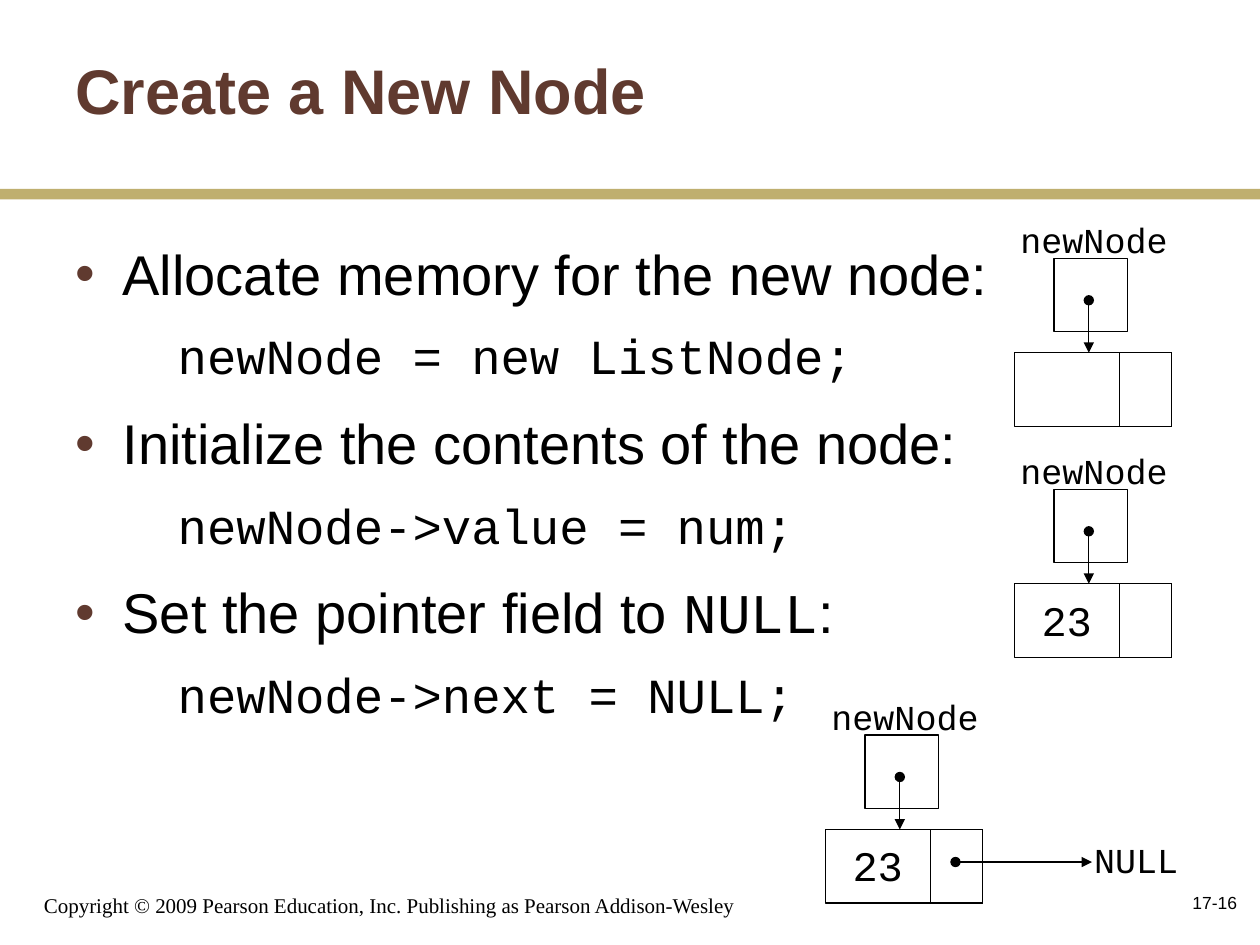
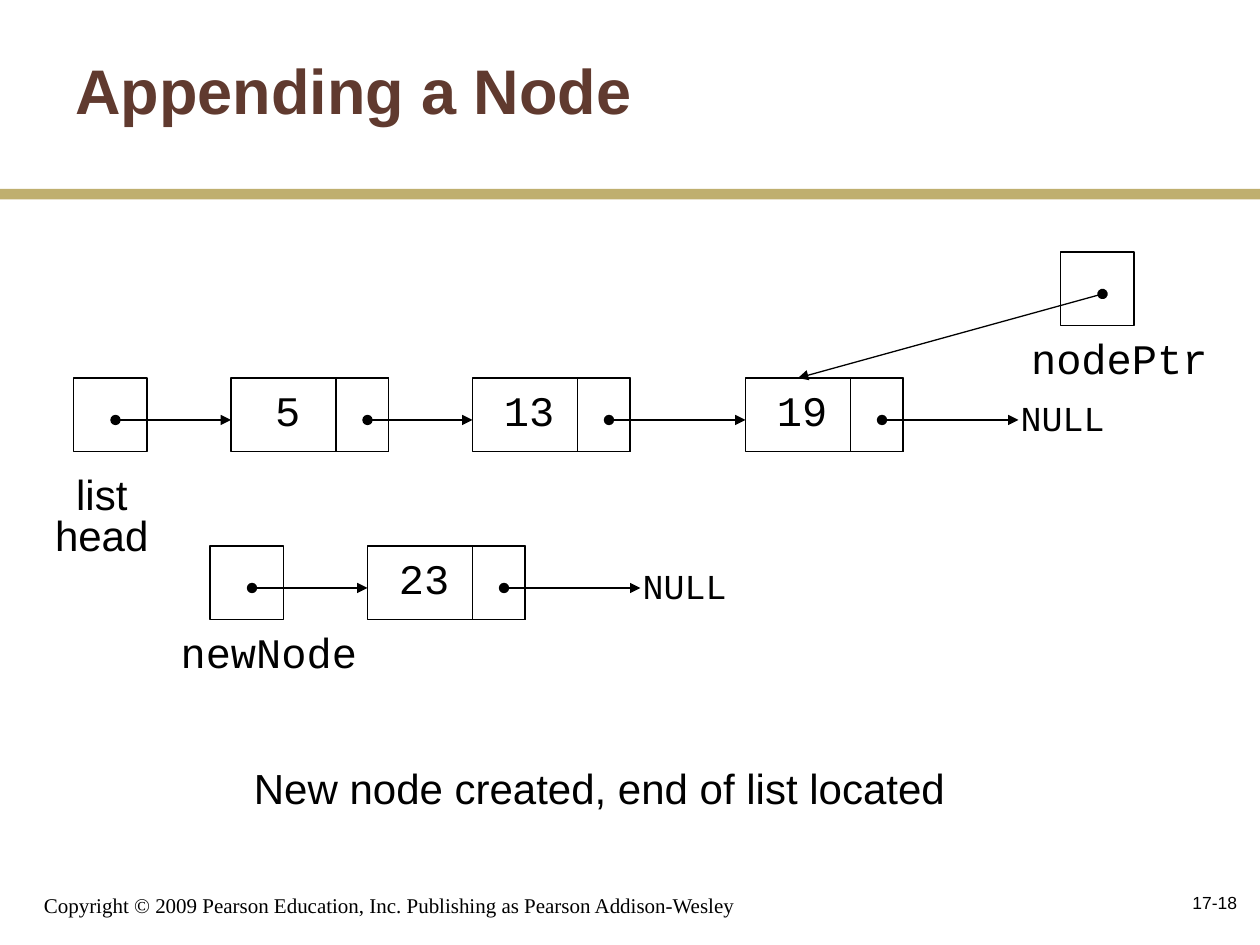
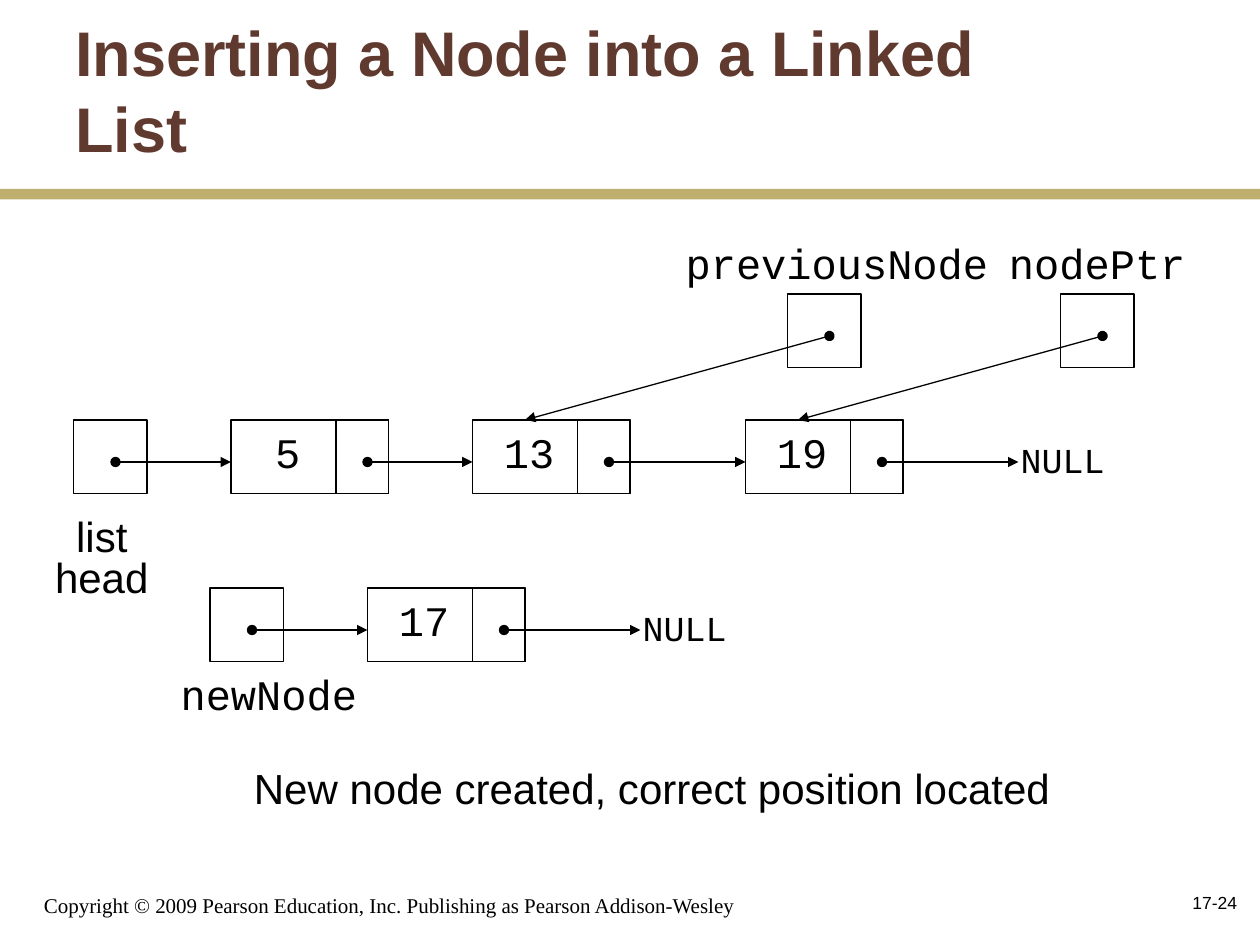
from dataclasses import dataclass

from lxml import etree
from pptx import Presentation
from pptx.dml.color import RGBColor
from pptx.enum.shapes import MSO_CONNECTOR, MSO_SHAPE
from pptx.enum.text import MSO_ANCHOR, MSO_AUTO_SIZE, PP_ALIGN
from pptx.oxml.ns import qn
from pptx.slide import Slide
from pptx.util import Cm, Pt

RECT, BAND, LINE = MSO_SHAPE.RECTANGLE, MSO_SHAPE.PENTAGON, MSO_CONNECTOR.STRAIGHT
LEFT, MID, RIGHT = PP_ALIGN.LEFT, PP_ALIGN.CENTER, PP_ALIGN.RIGHT
TOP, HALF, BASE = MSO_ANCHOR.TOP, MSO_ANCHOR.MIDDLE, MSO_ANCHOR.BOTTOM
GROW, FIXED = MSO_AUTO_SIZE.SHAPE_TO_FIT_TEXT, MSO_AUTO_SIZE.NONE

STEP = 2.54 / 12
BLACK, BROWN, GOLD = "000000", "603A2F", "BFAF6F"
SANS, MONO, SERIF = "Arial", "Courier New", "Times New Roman"
SIDE, SPAN, DATA = 7, 15, 10
PORT = 4


@dataclass
class Text:
    words: str
    x: float
    y: float
    wide: float
    high: float
    size: float = 24
    font: str = SANS
    ink: str = BLACK
    bold: bool = False
    align: PP_ALIGN = LEFT
    anchor: MSO_ANCHOR = TOP
    wrap: bool = True
    space: float = 1


@dataclass
class Node:
    x: float
    value: str


@dataclass
class Hint:
    name: str
    x: float
    goal: float
    mid: float
    top: float


@dataclass
class Stage:
    title: str
    page: str
    row: float
    value: str
    hints: list[Hint]
    note: str


@dataclass
class Scene:
    x: float
    y: float
    value: str = ""
    ends: bool = False


CHAIN = [Node(22, "5"), Node(45, "13"), Node(71, "19")]

SCENES = [
    Scene(96.6, 33.6),
    Scene(96.6, 55.6, "23"),
    Scene(78.6, 79, "23", True),
]

POINTS = [
    ([("Allocate memory for the new node:", SANS)], "newNode = new ListNode;"),
    ([("Initialize the contents of the node:", SANS)], "newNode->value = num;"),
    ([("Set the pointer field to ", SANS), ("NULL", MONO), (":", SANS)],
     "newNode->next = NULL;"),
]

STAGES = [
    Stage("Appending a Node", "17-18", 36, "23",
          [Hint("nodePtr", 101, 76, 106.6, 32)],
          "New node created, end of list located"),
    Stage("Inserting a Node into a Linked List", "17-24", 40, "17",
          [Hint("nodePtr", 101, 76, 104.5, 23),
           Hint("previousNode", 75, 50, 79.7, 23)],
          "New node created, correct position located"),
]


def grid(count: float) -> Cm:
    return Cm(count * STEP)


def paint(code: str) -> RGBColor:
    return RGBColor.from_string(code)


def assign(target, values: dict) -> None:
    for key, value in values.items():
        setattr(target, key, value)


def add_run(para, words: str, size: float, font: str,
            ink: str = BLACK, bold: bool = False) -> None:
    run = para.add_run()
    run.text = words
    assign(run.font, {"size": Pt(size), "name": font, "bold": bold})
    run.font.color.rgb = paint(ink)


def draw_text(slide: Slide, item: Text) -> None:
    box = slide.shapes.add_textbox(
        *map(grid, (item.x, item.y, item.wide, item.high)))
    frame = box.text_frame
    assign(frame, {"word_wrap": item.wrap, "vertical_anchor": item.anchor,
                   "auto_size": FIXED if item.wrap else GROW})
    for index, words in enumerate(item.words.split("\n")):
        para = frame.add_paragraph() if index else frame.paragraphs[0]
        assign(para, {"alignment": item.align, "line_spacing": item.space})
        add_run(para, words, item.size, item.font, item.ink, item.bold)


def draw_code(slide: Slide, words: str, mid: float, top: float,
              size: float = 24, space: float = 1) -> None:
    wide = len(words) * size * 0.1 + 2.4
    high = size * space * 0.2 + 1.2
    draw_text(slide, Text(words, mid - wide / 2, top, wide, high, size, MONO,
                          align=MID, wrap=False, space=space))


def draw_box(slide: Slide, x: float, y: float, wide: float = SIDE) -> None:
    box = slide.shapes.add_shape(RECT, *map(grid, (x, y, wide, SIDE)))
    box.shadow.inherit = False
    box.fill.background()
    box.line.color.rgb = paint(BLACK)
    box.line.width = Pt(0.75)


def draw_node(slide: Slide, x: float, y: float) -> None:
    draw_box(slide, x, y, SPAN)
    draw_box(slide, x + DATA, y, SPAN - DATA)


def draw_arrow(slide: Slide, x: float, y: float, to_x: float, to_y: float) -> None:
    arrow = slide.shapes.add_connector(LINE, *map(grid, (x, y, to_x, to_y)))
    arrow.line.color.rgb = paint(BLACK)
    arrow.line.width = Pt(0.75)
    edge = arrow.line._get_or_add_ln()
    for tag, kind in (("a:headEnd", "oval"), ("a:tailEnd", "triangle")):
        etree.SubElement(edge, qn(tag), type=kind)
    etree.SubElement(arrow._element.spPr, qn("a:effectLst"))


def draw_null(slide: Slide, x: float, y: float) -> None:
    end = x + 13
    draw_arrow(slide, x, y, end, y)
    draw_code(slide, "NULL", end + 4.2, y - 3.6, 20, 1.2)


def indent(props, left: float, first: float) -> None:
    props.set("marL", str(int(grid(left))))
    props.set("indent", str(int(grid(first))))


def draw_points(slide: Slide) -> None:
    box = slide.shapes.add_textbox(*map(grid, (6, 22.9, 102, 51.4)))
    frame = box.text_frame
    frame.word_wrap = True
    for index, (parts, code) in enumerate(POINTS):
        para = frame.add_paragraph() if index else frame.paragraphs[0]
        props = para._p.get_or_add_pPr()
        indent(props, 4.5, -4.5)
        tint = etree.SubElement(props, qn("a:buClr"))
        etree.SubElement(tint, qn("a:srgbClr"), val=BROWN)
        etree.SubElement(props, qn("a:buFont"), typeface=SANS)
        etree.SubElement(props, qn("a:buChar"), char="•")
        assign(para, {"line_spacing": 0.9, "space_before": Pt(17.6 if index else 0)})
        for words, font in parts:
            add_run(para, words, 32, font)
        para = frame.add_paragraph()
        indent(para._p.get_or_add_pPr(), 9.75, 0)
        assign(para, {"line_spacing": 0.9, "space_before": Pt(14.4)})
        add_run(para, code, 28, MONO)


def draw_scene(slide: Slide, item: Scene) -> None:
    x, y = item.x, item.y
    draw_box(slide, x + 3.8, y - 9)
    draw_node(slide, x, y)
    draw_arrow(slide, x + 7.1, y - 5, x + 7.1, y)
    draw_code(slide, "newNode", x + 7.6, y - 12.6, 20, 0.8)
    if item.value:
        draw_code(slide, item.value, x + 5, y + 0.4)
    if item.ends:
        draw_null(slide, x + 12.4, y + 3.1)


def draw_chain(slide: Slide, start: float, y: float, nodes: list[Node]) -> None:
    draw_box(slide, start, y)
    port = start + PORT
    for node in nodes:
        draw_node(slide, node.x, y)
        draw_arrow(slide, port, y + PORT, node.x, y + PORT)
        draw_code(slide, node.value, node.x + 5.4, y)
        port = node.x + 13
    draw_null(slide, port, y + PORT)


def draw_hint(slide: Slide, item: Hint, row: float) -> None:
    top = row - 12
    draw_box(slide, item.x, top)
    draw_arrow(slide, item.x + PORT, top + PORT, item.goal, row)
    draw_code(slide, item.name, item.mid, item.top, space=0.8)


def draw_stage(slide: Slide, item: Stage) -> None:
    row = item.row
    draw_chain(slide, 7, row, CHAIN)
    draw_text(slide, Text("list\nhead", 3.7, row + 9, 12, 8.9,
                          align=MID, wrap=False, space=0.8))
    draw_chain(slide, 20, row + 16, [Node(35, item.value)])
    draw_code(slide, "newNode", 25.6, row + 24, space=0.8)
    for hint in item.hints:
        draw_hint(slide, hint, row)
    draw_text(slide, Text(item.note, 23, 72, 80, 6))


def start_slide(deck, title: str, page: str) -> Slide:
    slide = deck.slides.add_slide(deck.slide_layouts[6])
    band = slide.shapes.add_shape(BAND, *map(grid, (0, 18, 120, 1)))
    band.adjustments[0] = 0
    band.shadow.inherit = False
    band.fill.solid()
    band.fill.fore_color.rgb = paint(GOLD)
    band.line.fill.background()
    for item in (
        Text("Copyright © 2009 Pearson Education, Inc. Publishing as Pearson Addison-Wesley",
             3, 83, 73, 5, 12, SERIF, anchor=BASE),
        Text(page, 94, 83, 25, 6, 10, align=RIGHT, anchor=HALF),
        Text(title, 6, 1, 99, 15, 36, ink=BROWN, bold=True, anchor=HALF),
    ):
        draw_text(slide, item)
    return slide


def main() -> None:
    deck = Presentation()
    assign(deck, {"slide_width": Cm(25.4), "slide_height": Cm(19.05)})
    slide = start_slide(deck, "Create a New Node", "17-16")
    draw_points(slide)
    for scene in SCENES:
        draw_scene(slide, scene)
    for stage in STAGES:
        draw_stage(start_slide(deck, stage.title, stage.page), stage)
    deck.save("out.pptx")


if __name__ == "__main__":
    main()
